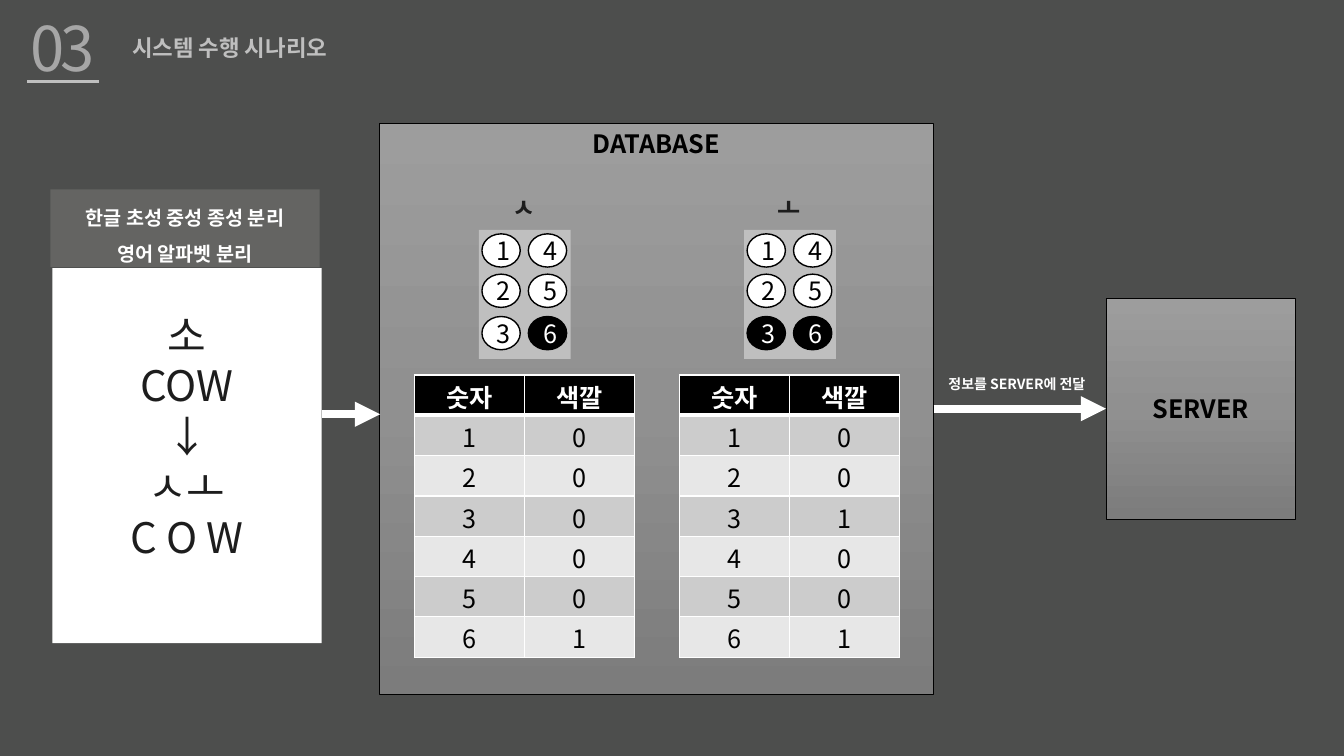
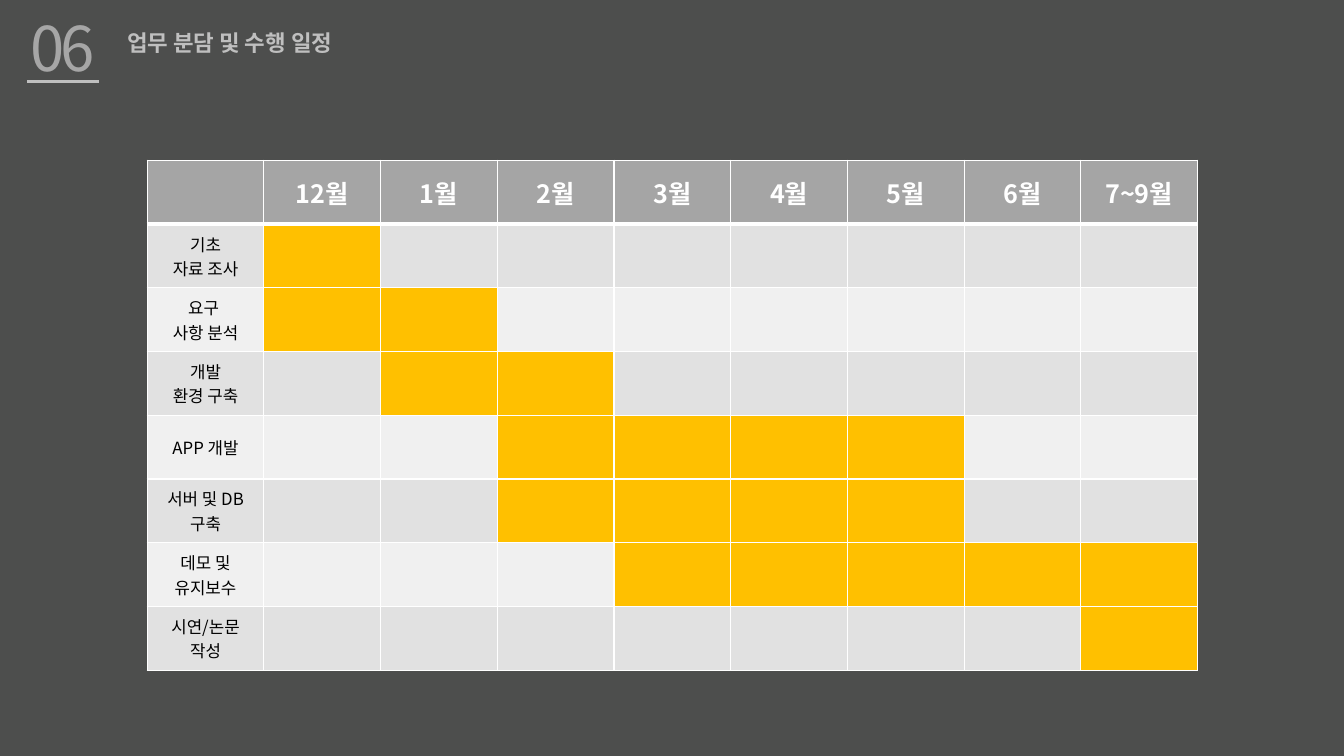
from copy import deepcopy

from lxml import etree
from pptx import Presentation
from pptx.dml.color import RGBColor
from pptx.enum.shapes import MSO_CONNECTOR, MSO_SHAPE
from pptx.enum.text import MSO_ANCHOR, MSO_AUTO_SIZE, PP_ALIGN
from pptx.oxml.ns import qn
from pptx.util import Inches, Pt

RECT, OVAL = MSO_SHAPE.RECTANGLE, MSO_SHAPE.OVAL
STRAIGHT = MSO_CONNECTOR.STRAIGHT
LEFT, CENTER = PP_ALIGN.LEFT, PP_ALIGN.CENTER
TOP, MIDDLE = MSO_ANCHOR.TOP, MSO_ANCHOR.MIDDLE
NO_FIT = MSO_AUTO_SIZE.NONE

FONT = "Noto Sans CJK KR"
BACKGROUND = "4D4E4D"
WHITE, BLACK, INK = "FFFFFF", "000000", "1D1D1D"
SILVER, NUMBER_GRAY, LABEL_GRAY = "BFBFBF", "A6A6A6", "646462"
GRADIENT = ((0, "9D9D9D"), (0.5, "909090"), (1, "7C7C7C"))
HEADER_GRAY, ACTIVE = "A5A5A5", "FFC000"
DATA_BANDS = ("CCCCCC", "E7E7E7")
SCHEDULE_BANDS = ("E1E1E1", "F0F0F0")

MONTHS = ["12월", "1월", "2월", "3월", "4월", "5월", "6월", "7~9월"]
TASKS = [
    ("기초\n자료 조사", 1, 1),
    ("요구 \n사항 분석", 1, 2),
    ("개발\n환경 구축", 2, 3),
    ("APP 개발", 3, 6),
    ("서버 및 DB\n구축", 3, 6),
    ("데모 및\n유지보수", 4, 8),
    ("시연/논문\n작성", 8, 8),
]


def rgb(color):
    return RGBColor.from_string(color)


def write(tf, text, size=18, color=BLACK, bold=False, align=CENTER,
          leading=1.2, tracking=None):
    for i, line in enumerate(text.split("\n")):
        p = tf.add_paragraph() if i else tf.paragraphs[0]
        p.alignment = align
        p.line_spacing = Pt(size * leading) if leading else None
        r = p.add_run()
        r.text = line
        r.font.name = FONT
        r.font.size = Pt(size)
        r.font.bold = bold
        r.font.color.rgb = rgb(color)
        rpr = r._r.get_or_add_rPr()
        etree.SubElement(rpr, qn("a:ea"), typeface=FONT)
        if tracking:
            rpr.set("spc", str(tracking))


def add_text(s, x, y, w, h, text, wrap=True, **fmt):
    tf = s.shapes.add_textbox(Inches(x), Inches(y), Inches(w), Inches(h)).text_frame
    tf.word_wrap = wrap
    write(tf, text, **fmt)


def add_box(s, x, y, w, h, fill=None, line=None, weight=0.5, kind=RECT, anchor=MIDDLE):
    sp = s.shapes.add_shape(kind, Inches(x), Inches(y), Inches(w), Inches(h))
    sp.shadow.inherit = False
    if fill:
        sp.fill.solid()
        sp.fill.fore_color.rgb = rgb(fill)
    else:
        sp.fill.gradient()
        sp.fill.gradient_angle = 270
        stops = sp._element.spPr.find(".//" + qn("a:gsLst"))
        stops.insert(1, deepcopy(stops[0]))
        for stop, (position, color) in zip(sp.fill.gradient_stops, GRADIENT):
            stop.position = position
            stop.color.rgb = rgb(color)
    if line:
        sp.line.color.rgb = rgb(line)
        sp.line.width = Pt(weight)
    else:
        sp.line.fill.background()
    sp.text_frame.vertical_anchor = anchor
    return sp


def add_line(s, x1, y1, x2, y2, color=WHITE, weight=6, arrow=True):
    line = s.shapes.add_connector(STRAIGHT, Inches(x1), Inches(y1), Inches(x2), Inches(y2))
    line.line.color.rgb = rgb(color)
    line.line.width = Pt(weight)
    if arrow:
        etree.SubElement(line.line._get_or_add_ln(), qn("a:tailEnd"), type="triangle")
    etree.SubElement(line._element.spPr, qn("a:effectLst"))
    return line


def border_cell(cell, top=1, bottom=1):
    tcpr = cell._tc.get_or_add_tcPr()
    sides = (("L", 1), ("R", 1), ("T", top), ("B", bottom))
    for i, (side, weight) in enumerate(sides):
        ln = etree.Element(qn("a:ln" + side), w=str(Pt(weight)))
        fill = etree.SubElement(ln, qn("a:solidFill"))
        etree.SubElement(fill, qn("a:srgbClr"), val=WHITE)
        tcpr.insert(i, ln)


def add_grid(s, x, y, w, h, rows, header_fill, bands, size=18, leading=1.2,
             anchor=TOP, margins=(0.05, 0.05), active=()):
    table = s.shapes.add_table(len(rows), len(rows[0]), Inches(x), Inches(y),
                               Inches(w), Inches(h)).table
    for i, row in enumerate(rows):
        header = i == 0
        for j, text in enumerate(row):
            cell = table.cell(i, j)
            color = header_fill if header else bands[(i - 1) % 2]
            cell.fill.solid()
            cell.fill.fore_color.rgb = rgb(ACTIVE if (i, j) in active else color)
            border_cell(cell, top=3 if i == 1 else 1, bottom=3 if header else 1)
            cell.vertical_anchor = anchor
            cell.margin_top, cell.margin_bottom = map(Inches, margins)
            if text:
                write(cell.text_frame, text, size=18 if header else size,
                      color=WHITE if header else BLACK, bold=header, leading=leading)


def add_header(prs, number, title, x, y):
    s = prs.slides.add_slide(prs.slide_layouts[5])
    sp = s.shapes.title
    sp.left, sp.top, sp.width, sp.height = map(Inches, (x, y, 3.57, 0.37))
    tf = sp.text_frame
    tf.auto_size = NO_FIT
    tf.vertical_anchor = TOP
    write(tf, title, size=16, color=SILVER, bold=True, align=LEFT)
    add_text(s, 0, 0.05, 1.24, 0.84, number, size=44, color=NUMBER_GRAY, tracking=-300)
    add_line(s, 0.98, 0.81, 0.27, 0.81, SILVER, 2.25, arrow=False)
    return s


def add_input(s, x, y, w):
    body = add_box(s, x + 0.02, y + 0.78, w, 3.72, WHITE, anchor=TOP)
    body.text_frame.margin_top = Inches(0.41)
    write(body.text_frame, "소\nCOW\n↓\nㅅㅗ\nC O W", size=30, color=INK)
    label = add_box(s, x, y, w, 0.77, LABEL_GRAY, anchor=TOP)
    write(label.text_frame, "한글 초성 중성 종성 분리\n영어 알파벳 분리",
          size=14, color=WHITE, bold=True, leading=1.8)


def add_braille(s, x, y, letter, dots):
    add_text(s, x + 0.22, y - 0.42, 0.45, 0.4, letter, color=INK, bold=True)
    add_box(s, x, y, 0.91, 1.28, SILVER)
    for i in range(6):
        col, row = divmod(i, 3)
        filled = i + 1 in dots
        sp = add_box(s, x + 0.03 + 0.46 * col, y + (0.04, 0.44, 0.86)[row], 0.38, 0.33,
                     BLACK if filled else WHITE, BLACK, 1, OVAL)
        tf = sp.text_frame
        tf.margin_left = Inches(0.05)
        tf.margin_right = tf.margin_top = tf.margin_bottom = 0
        write(tf, str(i + 1), color=WHITE if filled else BLACK)


def add_database(s, x, y, w, h):
    sp = add_box(s, x, y, w, h, line=BLACK, anchor=TOP)
    write(sp.text_frame, "DATABASE", bold=True)
    for i, (letter, dots) in enumerate((("ㅅ", {6}), ("ㅗ", {3, 6}))):
        left = x + 0.35 + 2.63 * i
        add_braille(s, left + 0.64, y + 1.06, letter, dots)
        rows = [("숫자", "색깔")] + [(str(n), str(int(n in dots))) for n in range(1, 7)]
        add_grid(s, left, y + 2.5, 2.18, 2.8, rows, BLACK, DATA_BANDS, margins=(0.09, 0))
    return sp


def build_scenario(prs):
    s = add_header(prs, "03", "시스템 수행 시나리오", 1.21, 0.29)
    add_input(s, 0.5, 1.88, 2.67)
    database = add_database(s, 3.76, 1.22, 5.5, 5.67)
    server = add_box(s, 10.97, 2.96, 1.88, 2.19, line=BLACK)
    write(server.text_frame, "SERVER", bold=True)
    add_line(s, 3.19, 4.11, 3.77, 4.11)
    link = add_line(s, 9.26, 4.05, 10.97, 4.06)
    link.begin_connect(database, 3)
    link.end_connect(server, 1)
    add_text(s, 9.26, 3.68, 1.65, 0.27, "정보를 SERVER에 전달", wrap=False,
             size=10, color=WHITE, bold=True)


def build_schedule(prs):
    s = add_header(prs, "06", "업무 분담 및 수행 일정", 1.16, 0.24)
    rows = [[""] + MONTHS] + [[task] + [""] * len(MONTHS) for task, _, _ in TASKS]
    active = {(i, j) for i, (_, first, last) in enumerate(TASKS, 1)
              for j in range(first, last + 1)}
    add_grid(s, 1.46, 1.59, 10.42, 5.06, rows, HEADER_GRAY, SCHEDULE_BANDS,
             size=12, leading=None, anchor=MIDDLE, active=active)


def main():
    prs = Presentation()
    prs.slide_width, prs.slide_height = Inches(13.33), Inches(7.5)
    fill = prs.slide_master.background.fill
    fill.solid()
    fill.fore_color.rgb = rgb(BACKGROUND)
    build_scenario(prs)
    build_schedule(prs)
    prs.save("out.pptx")


if __name__ == "__main__":
    main()
